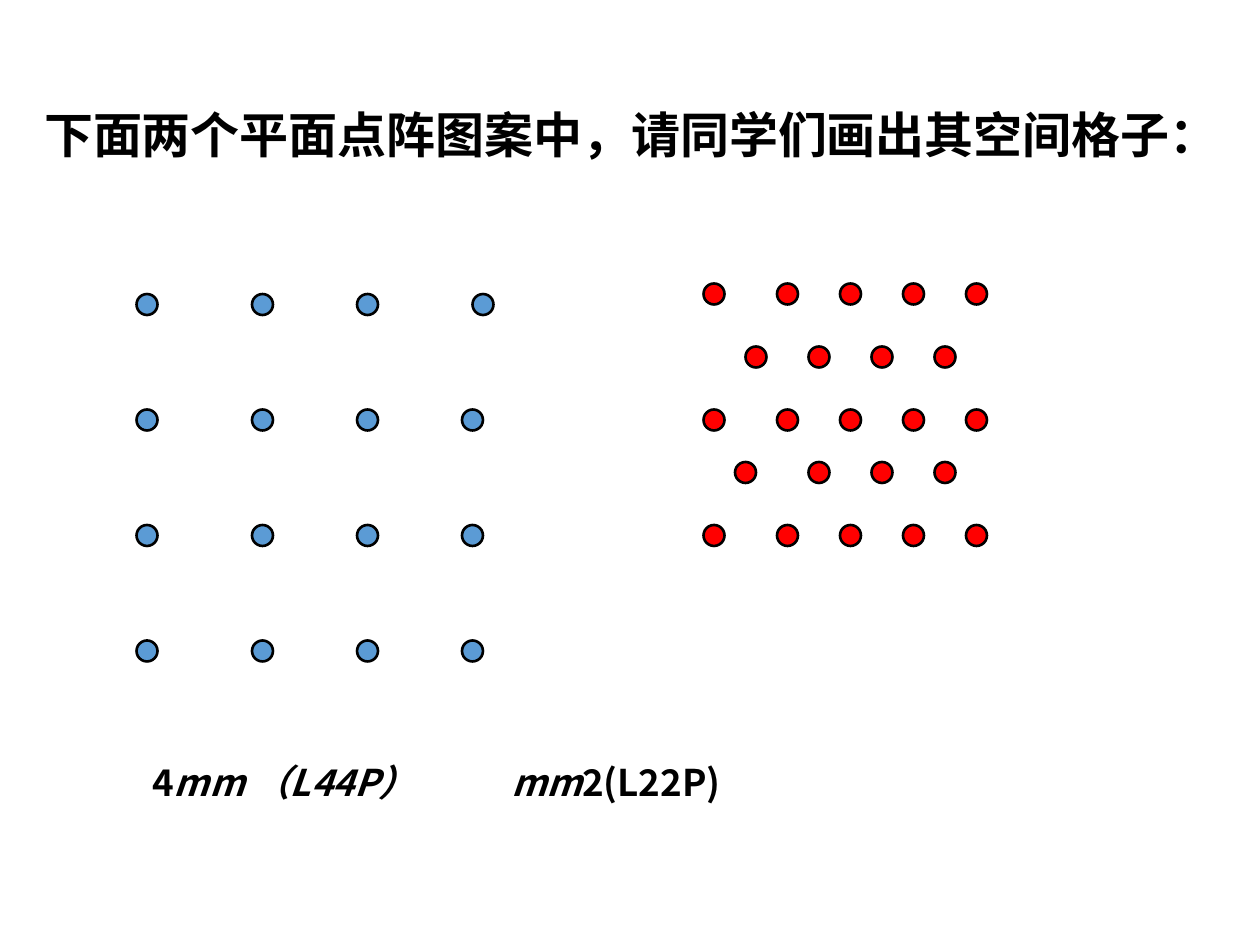
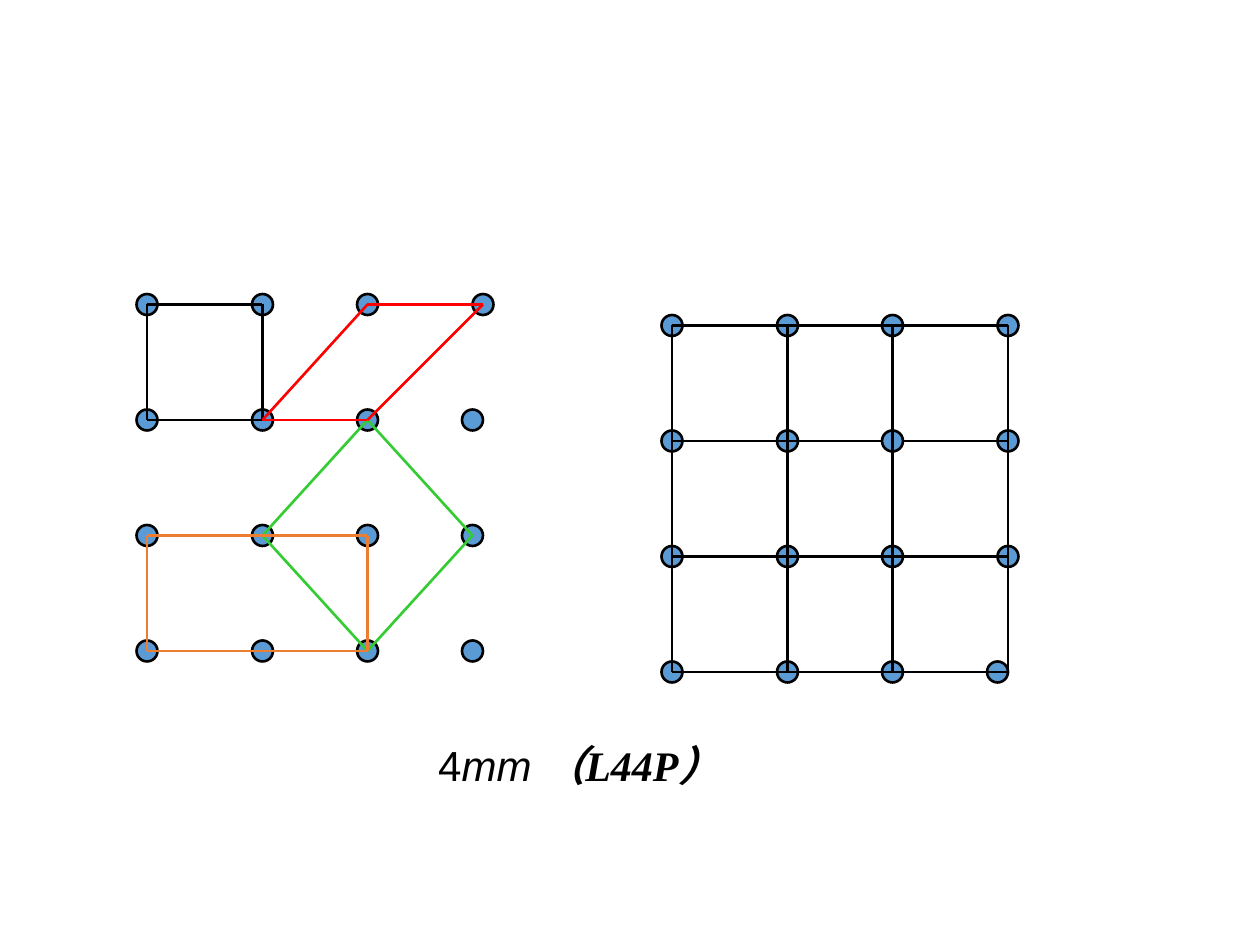
from lxml import etree
from pptx import Presentation
from pptx.dml.color import RGBColor
from pptx.enum.shapes import MSO_CONNECTOR, MSO_SHAPE
from pptx.enum.text import MSO_ANCHOR, PP_ALIGN
from pptx.oxml.ns import qn
from pptx.util import Inches, Pt

COLORS = {"black": "000000", "blue": "5B9BD5", "red": "FF0000",
          "green": "33CC33", "orange": "ED7D31"}
CJK, SANS, SERIF = "Noto Sans CJK SC", "Arial", "Times New Roman"
TITLE_ONLY, BLANK = 5, 6

QUESTION = "下面两个平面点阵图案中，请同学们画出其空间格子："
# Each caption run: text, font, bold, italic
SQUARE_CAPTION = [("4", CJK, True, False), ("mm （L44P）", CJK, True, True)]
CENTRED_CAPTION = [("mm", CJK, True, True), ("2(L22P)", CJK, True, False)]
ANSWER_CAPTION = [("4", SANS, False, False), ("mm ", SANS, False, True),
                  ("（L44P）", SERIF, True, True)]

# Lattice coordinates are dot centres in twelfths of an inch
UNIT = 1 / 12
DOT_SIZE = 2
LINE_WIDTH = 1.5
SQUARE_COLUMNS = (14, 25, 35, 46)
SQUARE_ROWS = (29, 40, 51, 62)
SQUARE_LAST_COLUMN = 45
SQUARE_TOP = [(x, SQUARE_ROWS[0]) for x in SQUARE_COLUMNS]
SQUARE_REST = [(x, y) for y in SQUARE_ROWS[1:]
               for x in (*SQUARE_COLUMNS[:3], SQUARE_LAST_COLUMN)]
SQUARE_LATTICE = SQUARE_TOP + SQUARE_REST

LONG_ROW = (68, 75, 81, 87, 93)
CENTRED_ROWS = {28: LONG_ROW, 34: (72, 78, 84, 90), 40: LONG_ROW,
                45: (71, 78, 84, 90), 51: LONG_ROW}
CENTRED_LATTICE = [(x, y) for y, row in CENTRED_ROWS.items() for x in row]

UNIT_CELLS = [
    ("green", [(35, 40), (25, 51), (35, 62), (45, 51)]),
    ("black", [(14, 29), (25, 29), (25, 40), (14, 40)]),
    ("red", [(35, 29), (46, 29), (35, 40), (25, 40)]),
    ("orange", [(14, 51), (35, 51), (35, 62), (14, 62)]),
]

NET_SHIFT = (50, 2)
NET_COLUMNS = [x + NET_SHIFT[0] for x in SQUARE_COLUMNS]
NET_ROWS = [y + NET_SHIFT[1] for y in SQUARE_ROWS]
NET_RAISED_DOT = (NET_COLUMNS[2], NET_ROWS[1])
NET_LAST_DOT = (SQUARE_LAST_COLUMN + NET_SHIFT[0], NET_ROWS[3])
NET_LATTICE = [(x, y) for y in NET_ROWS for x in NET_COLUMNS
               if (x, y) not in (NET_RAISED_DOT, (NET_COLUMNS[3], NET_ROWS[3]))]
NET_LATTICE.append(NET_LAST_DOT)


def rgb(name):
    return RGBColor.from_string(COLORS[name])


def grid(value):
    return Inches(value * UNIT)


def draw_dots(slide, centres, color):
    for x, y in centres:
        dot = slide.shapes.add_shape(
            MSO_SHAPE.OVAL, grid(x - DOT_SIZE / 2), grid(y - DOT_SIZE / 2),
            grid(DOT_SIZE), grid(DOT_SIZE))
        dot.shadow.inherit = False
        dot.fill.solid()
        dot.fill.fore_color.rgb = rgb(color)
        dot.line.color.rgb = rgb("black")
        dot.line.width = Pt(LINE_WIDTH)


def draw_line(slide, start, end, color):
    line = slide.shapes.add_connector(
        MSO_CONNECTOR.STRAIGHT, *map(grid, start), *map(grid, end))
    line.line.color.rgb = rgb(color)
    line.line.width = Pt(LINE_WIDTH)
    etree.SubElement(line._element.spPr, qn("a:effectLst"))


def draw_cell(slide, corners, color):
    for start, end in zip(corners, corners[1:] + corners[:1]):
        draw_line(slide, start, end, color)


def format_run(run, size, font, bold, italic):
    run.font.size = Pt(size)
    run.font.bold = bold
    run.font.italic = italic
    run.font.color.rgb = rgb("black")
    run.font.name = font
    east_asian = etree.SubElement(run._r.get_or_add_rPr(), qn("a:ea"))
    east_asian.set("typeface", CJK)


def add_caption(slide, left, top, width, height, runs, size):
    box = slide.shapes.add_textbox(
        Inches(left), Inches(top), Inches(width), Inches(height))
    box.text_frame.word_wrap = False
    paragraph = box.text_frame.paragraphs[0]
    for text, font, bold, italic in runs:
        run = paragraph.add_run()
        run.text = text
        format_run(run, size, font, bold, italic)


def add_question(slide):
    title = slide.shapes.title
    title.left, title.top = Inches(0.25), Inches(0.83)
    title.width, title.height = Inches(9.33), Inches(1)
    frame = title.text_frame
    frame.text = QUESTION
    frame.word_wrap = True
    frame.vertical_anchor = MSO_ANCHOR.TOP
    paragraph = frame.paragraphs[0]
    paragraph.alignment = PP_ALIGN.LEFT
    paragraph.line_spacing = 0.9
    properties = paragraph._p.get_or_add_pPr()
    properties.set("marL", str(Inches(0.19)))
    properties.set("indent", str(-Inches(0.19)))
    format_run(paragraph.runs[0], 28, CJK, True, False)


def build_question_slide(presentation):
    slide = presentation.slides.add_slide(presentation.slide_layouts[TITLE_ONLY])
    add_question(slide)
    draw_dots(slide, SQUARE_LATTICE, "blue")
    draw_dots(slide, CENTRED_LATTICE, "red")
    add_caption(slide, 1.11, 5.98, 2.5, 0.52, SQUARE_CAPTION, 21)
    add_caption(slide, 3.96, 5.98, 1.9, 0.52, CENTRED_CAPTION, 21)


def build_answer_slide(presentation):
    slide = presentation.slides.add_slide(presentation.slide_layouts[BLANK])
    draw_dots(slide, SQUARE_LATTICE, "blue")
    for color, corners in UNIT_CELLS:
        draw_cell(slide, corners, color)
    draw_dots(slide, NET_LATTICE, "blue")
    for y in NET_ROWS:
        draw_line(slide, (NET_COLUMNS[0], y), (NET_COLUMNS[-1], y), "black")
    draw_dots(slide, [NET_RAISED_DOT], "blue")
    for x in NET_COLUMNS:
        draw_line(slide, (x, NET_ROWS[0]), (x, NET_ROWS[-1]), "black")
    add_caption(slide, 3.38, 5.82, 2.76, 0.5, ANSWER_CAPTION, 24)


def main():
    presentation = Presentation()
    presentation.slide_width, presentation.slide_height = Inches(10), Inches(7.5)
    build_question_slide(presentation)
    build_answer_slide(presentation)
    presentation.save("out.pptx")


if __name__ == "__main__":
    main()
